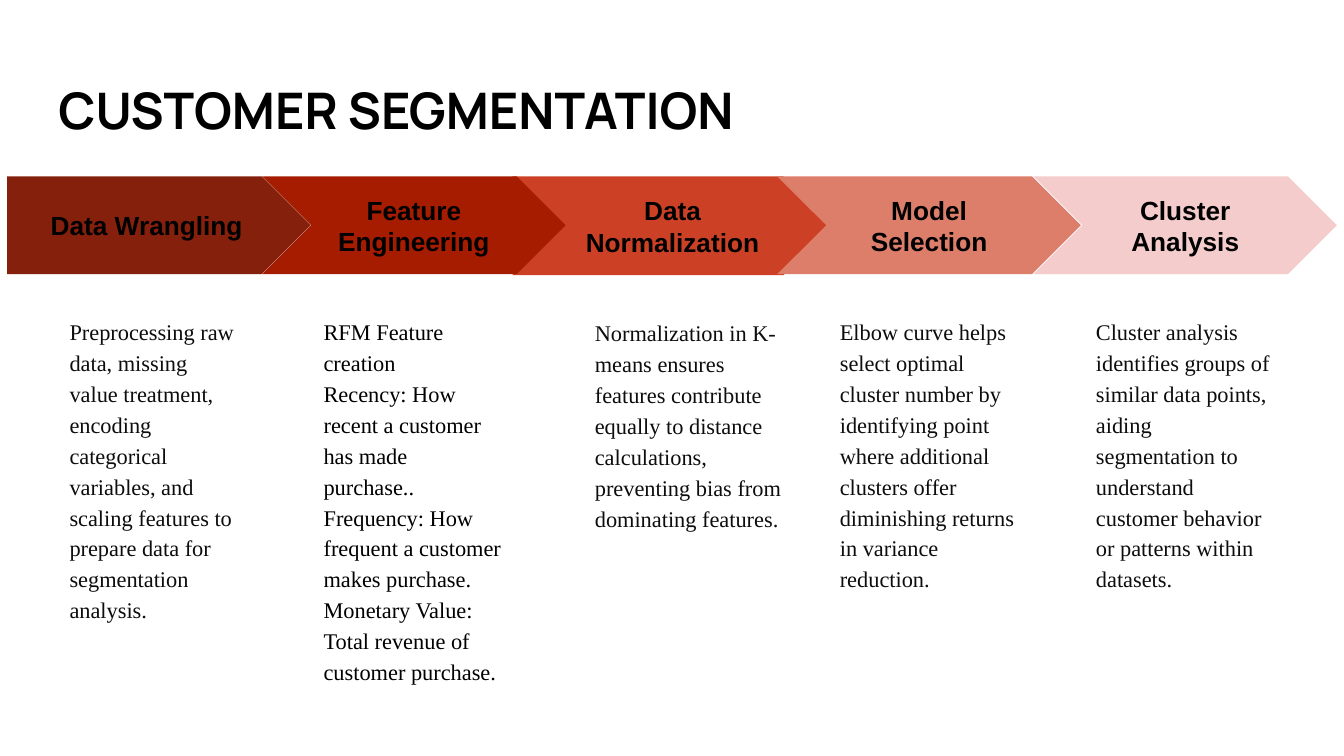
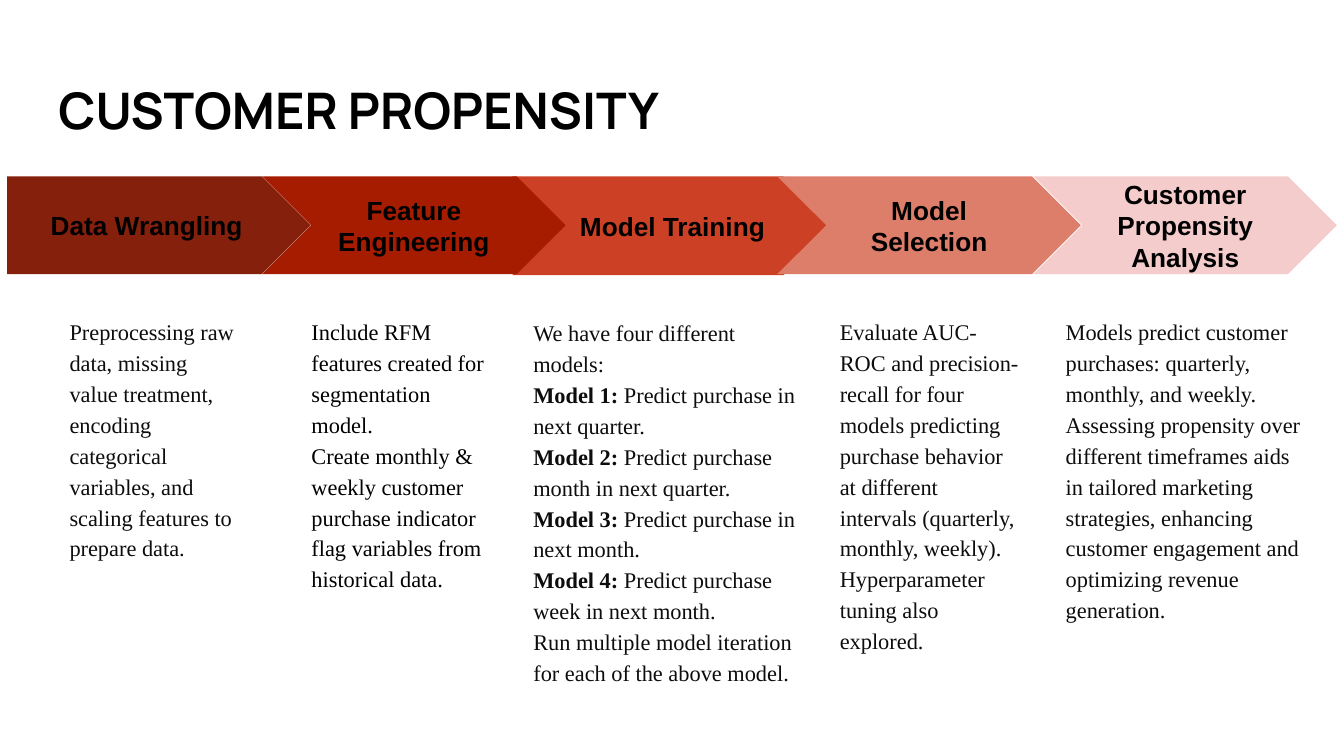
import dataclasses

import pptx
import pptx.util
from pptx.dml.color import RGBColor
from pptx.enum.shapes import MSO_SHAPE
from pptx.enum.text import MSO_ANCHOR, MSO_AUTO_SIZE, PP_ALIGN

Inches = pptx.util.Inches


# Theme: colours, type styles and the frame shared by both slides
@dataclasses.dataclass(frozen=True)
class Theme:
    title: dict
    label: dict
    body: dict
    inset: float = 0.13
    body_spacing: float = 1.15
    band_top: float = 1.75
    body_height: float = 3.8


@dataclasses.dataclass(frozen=True)
class Stage:
    left: float
    width: float
    height: float
    body_top: float
    fill: str
    text_color: str = "0D0D0D"
    shape: int = MSO_SHAPE.CHEVRON


THEME = Theme(
    title={"name": "Manrope", "size": 36, "bold": True, "color": "000000"},
    label={"name": "Arial", "size": 18.7, "bold": True, "color": "000000"},
    body={"name": "Times New Roman", "size": 16, "bold": False},
)

STAGES = [
    Stage(0.07, 3.01, 0.97, 2.99, "85200C", shape=MSO_SHAPE.PENTAGON),
    Stage(2.6, 3.01, 0.97, 2.99, "A61C00", text_color="000000"),
    Stage(5.08, 3.18, 0.98, 3, "CC4125"),
    Stage(7.71, 3.01, 0.97, 2.99, "DD7E6B"),
    Stage(10.25, 3.01, 0.97, 2.99, "F4CCCC"),
]
# The middle stage lies behind its neighbours
DRAW_ORDER = [2, 0, 1, 3, 4]

# Content: each column is label, body left, body width, paragraphs;
# a paragraph is a string or a (bold lead, rest) pair
SLIDES = [
    ("CUSTOMER SEGMENTATION", [
        ("Data Wrangling", 0.56, 1.9, [
            "Preprocessing raw data, missing value treatment, encoding "
            "categorical variables, and scaling features to prepare data "
            "for segmentation analysis."]),
        ("Feature Engineering", 3.08, 2.04, [
            "RFM Feature creation",
            "Recency: How recent a customer has made purchase..",
            "Frequency: How frequent a customer makes purchase.",
            "Monetary Value: Total revenue of customer purchase."]),
        ("Data Normalization", 5.77, 2.15, [
            "Normalization in K-means ensures features contribute equally "
            "to distance calculations, preventing bias from dominating "
            "features."]),
        ("Model Selection", 8.2, 2.04, [
            "Elbow curve helps select optimal cluster number by identifying "
            "point where additional clusters offer diminishing returns in "
            "variance reduction."]),
        ("Cluster Analysis", 10.74, 2.04, [
            "Cluster analysis identifies groups of similar data points, "
            "aiding segmentation to understand customer behavior or "
            "patterns within datasets."]),
    ]),
    ("CUSTOMER PROPENSITY", [
        ("Data Wrangling", 0.56, 1.9, [
            "Preprocessing raw data, missing value treatment, encoding "
            "categorical variables, and scaling features to prepare data."]),
        ("Feature Engineering", 2.96, 2.04, [
            "Include RFM features created for segmentation model.",
            "Create monthly & weekly customer purchase indicator flag "
            "variables from historical data."]),
        ("Model Training", 5.16, 2.92, [
            "We have four different models:",
            ("Model 1:", " Predict purchase in next quarter."),
            ("Model 2:", " Predict purchase month in next quarter."),
            ("Model 3:", " Predict purchase in next month."),
            ("Model 4:", " Predict purchase week in next month."),
            "Run multiple model iteration for each of the above model."]),
        ("Model Selection", 8.2, 2.04, [
            "Evaluate AUC-ROC and precision-recall for four models "
            "predicting purchase behavior at different intervals "
            "(quarterly, monthly, weekly).",
            "Hyperparameter tuning also explored."]),
        ("Customer Propensity Analysis", 10.44, 2.66, [
            "Models predict customer purchases: quarterly, monthly, and "
            "weekly. Assessing propensity over different timeframes aids in "
            "tailored marketing strategies, enhancing customer engagement "
            "and optimizing revenue generation."]),
    ]),
]


# Text helpers
def add_run(p, text, style):
    r = p.add_run()
    r.text = text
    for key, value in style.items():
        if key == "color":
            r.font.color.rgb = RGBColor.from_string(value)
        elif key == "size":
            r.font.size = pptx.util.Pt(value)
        else:
            setattr(r.font, key, value)


def format_frame(tf, anchor):
    settings = {"word_wrap": True, "auto_size": MSO_AUTO_SIZE.NONE,
                "vertical_anchor": anchor}
    for side in ("left", "top", "right", "bottom"):
        settings[f"margin_{side}"] = Inches(THEME.inset)
    for key, value in settings.items():
        setattr(tf, key, value)


# Slide parts
def add_title(s, text):
    sp = s.shapes.title
    sp.left, sp.top, sp.width, sp.height = map(Inches, (0.45, 0.65, 12.42, 0.84))
    format_frame(sp.text_frame, MSO_ANCHOR.TOP)
    p = sp.text_frame.paragraphs[0]
    p.alignment = PP_ALIGN.LEFT
    add_run(p, text, THEME.title)


def add_stage(s, stage, label):
    sp = s.shapes.add_shape(stage.shape, Inches(stage.left), Inches(THEME.band_top),
                            Inches(stage.width), Inches(stage.height))
    sp.shadow.inherit = False
    sp.fill.solid()
    sp.fill.fore_color.rgb = RGBColor.from_string(stage.fill)
    sp.line.fill.background()
    format_frame(sp.text_frame, MSO_ANCHOR.MIDDLE)
    p = sp.text_frame.paragraphs[0]
    p.alignment = PP_ALIGN.CENTER
    add_run(p, label, THEME.label)


def add_body(s, stage, left, width, paragraphs):
    sp = s.shapes.add_textbox(Inches(left), Inches(stage.body_top),
                              Inches(width), Inches(THEME.body_height))
    tf = sp.text_frame
    format_frame(tf, MSO_ANCHOR.TOP)
    style = {**THEME.body, "color": stage.text_color}
    for i, content in enumerate(paragraphs):
        p = tf.add_paragraph() if i else tf.paragraphs[0]
        p.line_spacing = THEME.body_spacing
        lead, rest = ("", content) if isinstance(content, str) else content
        if lead:
            add_run(p, lead, {**style, "bold": True})
        add_run(p, rest, style)


def add_process_slide(prs, title, columns):
    s = prs.slides.add_slide(prs.slide_layouts[5])
    add_title(s, title)
    for i in DRAW_ORDER:
        label, left, width, paragraphs = columns[i]
        add_stage(s, STAGES[i], label)
        add_body(s, STAGES[i], left, width, paragraphs)


def main():
    prs = pptx.Presentation()
    prs.slide_width, prs.slide_height = Inches(13.33), Inches(7.5)
    for title, columns in SLIDES:
        add_process_slide(prs, title, columns)
    prs.save("out.pptx")


if __name__ == "__main__":
    main()
